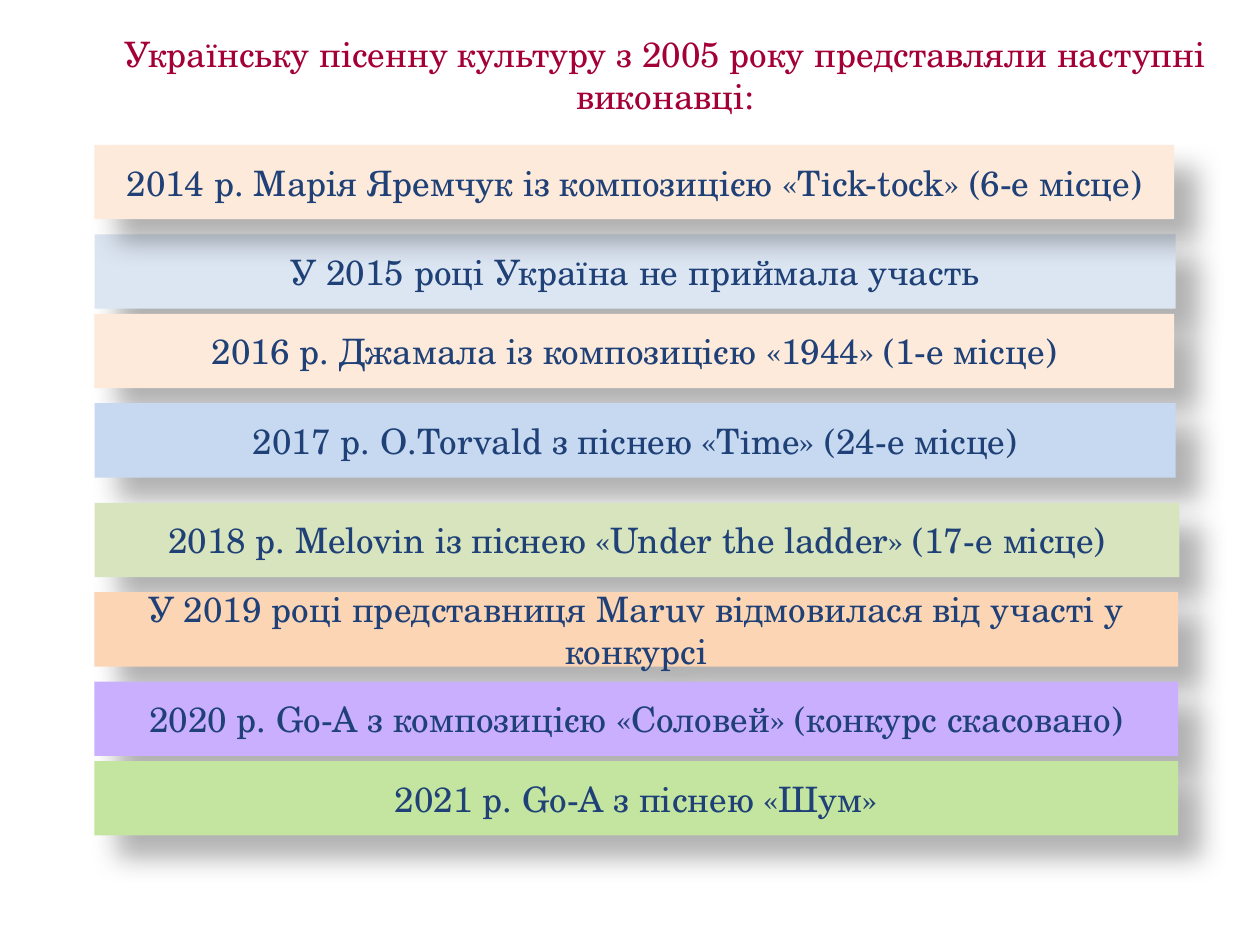
from lxml import etree
from pptx import Presentation
from pptx.dml.color import RGBColor
from pptx.enum.shapes import MSO_SHAPE
from pptx.enum.text import MSO_ANCHOR, MSO_AUTO_SIZE, PP_ALIGN
from pptx.oxml.ns import qn
from pptx.util import Inches, Pt

RECTANGLE = MSO_SHAPE.RECTANGLE
CENTER = PP_ALIGN.CENTER
TOP, MIDDLE = MSO_ANCHOR.TOP, MSO_ANCHOR.MIDDLE
NO_AUTOFIT = MSO_AUTO_SIZE.NONE
TITLE_ONLY = 5

COLUMNS, ROWS = 100, 75
LEFT, FIRST_ROW, BAND_ROWS = 7.5, 11.5, 5.9

HEADING = "Українську пісенну культуру з 2005 року представляли наступні виконавці:"
ENTRIES = [
    ("2014 р. Марія Яремчук із композицією «Tick-tock» (6-е місце)", "FDEADA", 85.7, 1.2),
    ("У 2015 році Україна не приймала участь", "DCE6F2", 85.8, 0.4),
    ("2016 р. Джамала із композицією «1944» (1-е місце)", "FDEADA", 85.7, 1.2),
    ("2017 р. O.Torvald з піснею «Time» (24-е місце)", "C6D9F1", 85.8, 2),
    ("2018 р. Melovin із піснею «Under the ladder» (17-е місце)", "D7E4BD", 86.1, 1.2),
    ("У 2019 році представниця Maruv відмовилася від участі у конкурсі", "FCD5B5", 86, 1.2),
    ("2020 р. Go-A з композицією «Соловей» (конкурс скасовано)", "CAAFFF", 86, 0.4),
    ("2021 р. Go-A з піснею «Шум»", "C4E59F", 86, 0),
]


def color(value):
    return RGBColor.from_string(value)


def apply_format(target, values):
    for attribute, value in values.items():
        setattr(target, attribute, value)


class SongSlide:
    font = {"name": "TeX Gyre Schola", "size": Pt(20), "bold": False}
    heading_color, entry_color = "A40037", "1F4177"
    shadow = {"blurRad": Pt(15), "dist": Pt(18), "dir": 45 * 60000,
              "algn": "tl", "rotWithShape": 0}
    shadow_color, shadow_opacity = "000000", 30

    def __init__(self, deck):
        self.column = deck.slide_width / COLUMNS
        self.row = deck.slide_height / ROWS
        self.slide = deck.slides.add_slide(deck.slide_layouts[TITLE_ONLY])

    def place(self, left, top, width, height):
        return [int(left * self.column), int(top * self.row),
                int(width * self.column), int(height * self.row)]

    def label(self, shape, text, text_color, anchor):
        frame = shape.text_frame
        frame.text = text
        apply_format(frame, {"word_wrap": True, "auto_size": NO_AUTOFIT,
                             "vertical_anchor": anchor})
        paragraph = frame.paragraphs[0]
        paragraph.alignment = CENTER
        font = paragraph.runs[0].font
        apply_format(font, self.font)
        font.color.rgb = color(text_color)

    def heading(self, text, *cells):
        title = self.slide.shapes.title
        apply_format(title, dict(zip(("left", "top", "width", "height"), self.place(*cells))))
        self.label(title, text, self.heading_color, TOP)

    def band(self, text, fill, *cells):
        band = self.slide.shapes.add_shape(RECTANGLE, *self.place(*cells))
        band.fill.solid()
        band.fill.fore_color.rgb = color(fill)
        band.line.fill.background()
        self.cast_shadow(band)
        self.label(band, text, self.entry_color, MIDDLE)

    def cast_shadow(self, shape):
        shape.shadow.inherit = False
        effects = shape._element.spPr.find(qn("a:effectLst"))
        outer = etree.SubElement(effects, qn("a:outerShdw"))
        for name, value in self.shadow.items():
            outer.set(name, str(value))
        tint = etree.SubElement(outer, qn("a:srgbClr"), val=self.shadow_color)
        etree.SubElement(tint, qn("a:alpha"), val=str(self.shadow_opacity * 1000))


def main():
    deck = Presentation()
    deck.slide_width, deck.slide_height = Inches(10), Inches(7.5)
    songs = SongSlide(deck)
    songs.heading(HEADING, LEFT, 2.1, 90.6, 9.5)

    top, bands = FIRST_ROW, []
    for text, fill, width, gap in ENTRIES:
        bands.append((text, fill, LEFT, top, width, BAND_ROWS))
        top += BAND_ROWS + gap
    for band in bands[1:] + bands[:1]:
        songs.band(*band)

    deck.save("out.pptx")


if __name__ == "__main__":
    main()
